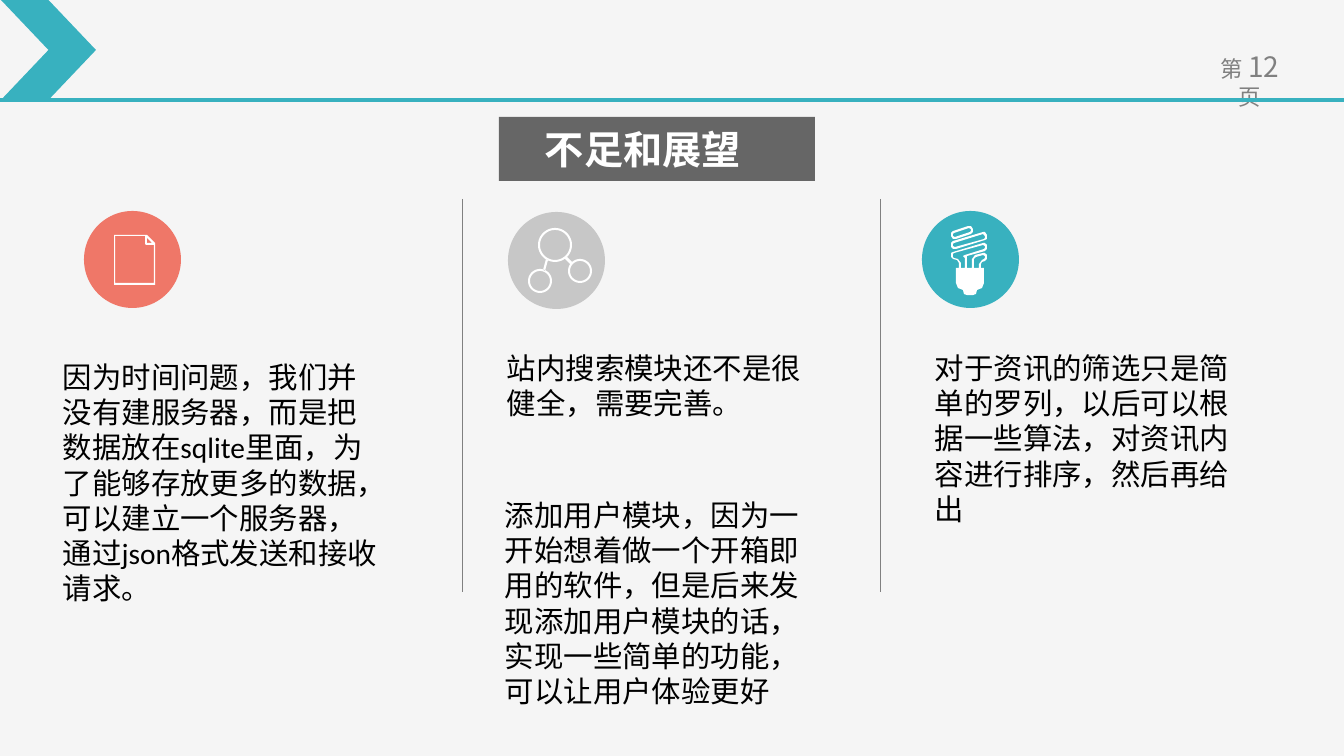
"""Build the slide on shortcomings and outlook."""
import math

from lxml import etree
from pptx import Presentation, util as u
from pptx.dml.color import RGBColor
from pptx.enum import shapes, text
from pptx.oxml import ns

PX = 914400 / 100.8
TEAL, GREY, WHITE = "38B1BF", "808080", "FFFFFF"
CJK = "Noto Sans CJK SC"
KIND = shapes.MSO_SHAPE

deck = Presentation()
deck.slide_width, deck.slide_height = round(1344 * PX), round(756 * PX)
slide = deck.slides.add_slide(deck.slide_layouts[6])
slide.background.fill.solid()
slide.background.fill.fore_color.rgb = RGBColor.from_string("F5F5F5")
tree = slide.shapes


def paint(item, fill):
    """Give a shape a plain fill with no line and no shadow."""
    item.shadow.inherit = False
    item.fill.solid()
    item.fill.fore_color.rgb = RGBColor.from_string(fill)
    item.line.fill.background()


def write(item, runs, color, **form):
    """Fill a frame with (words, size, font) runs."""
    frame = item.text_frame
    for key, value in {"word_wrap": True, **form}.items():
        setattr(frame, key, value)
    para = frame.paragraphs[0]
    para.alignment = text.PP_ALIGN.LEFT
    for words, size, face in runs:
        run = para.add_run()
        run.text = words
        look = {"size": u.Pt(size), "name": face}
        for key, value in look.items():
            setattr(run.font, key, value)
        run.font.color.rgb = RGBColor.from_string(color)
        east = etree.Element(ns.qn("a:ea"), typeface=CJK)
        run.font._element.find(ns.qn("a:latin")).addnext(east)
    return para


box = [round(n * PX) for n in (1191, 45, 118, 44)]
page = write(
    tree.add_textbox(*box),
    [("第", 16, CJK), (" ", 18, CJK), ("12", 20, CJK), (" ", 18, CJK), ("页", 16, CJK)],
    GREY, margin_left=round(20 * PX), margin_right=round(20 * PX))
page.alignment = text.PP_ALIGN.CENTER

LINES = [
    (0, 100, 1344, 100, TEAL, 2.25),
    (462, 199, 462, 592, GREY, 0.25),
    (880, 199, 880, 592, GREY, 0.25),
]
for *ends, color, width in LINES:
    rule = tree.add_connector(shapes.MSO_CONNECTOR.STRAIGHT, *[round(n * PX) for n in ends])
    rule.line.color.rgb = RGBColor.from_string(color)
    rule.line.width = u.Pt(width)
    etree.SubElement(rule._element.spPr, ns.qn("a:effectLst"))

SHAPES = [
    (KIND.CHEVRON, 1, 0, 95, 100, TEAL),
    (KIND.OVAL, 84, 211, 97, 97, "EF7768"),
    (KIND.OVAL, 508, 212, 97, 97, "C7C7C7"),
    (KIND.OVAL, 922, 211, 97, 97, TEAL),
]
for kind, *box, fill in SHAPES:
    paint(tree.add_shape(kind, *[round(n * PX) for n in box]), fill)

PAPER = [
    [(114, 235), (147, 235), (155, 243), (155, 285), (114, 285)],
    [(115, 236), (145, 236), (145, 244), (146, 245), (154, 245), (154, 283), (115, 283)],
    [(147, 238), (152, 243), (147, 243)],
]
NET = [
    [(546, 259), (548, 260), (545, 271), (543, 270)],
    [(565, 259), (567, 257), (572, 262), (570, 264)],
]
for left, top, size in [(555, 245, 17), (555, 245, 15), (540, 281, 12), (540, 281, 10),
                        (580, 271, 12), (580, 271, 10)]:
    turns = [math.tau * n / 48 for n in range(48)]
    NET.append([(left + size * math.cos(t), top + size * math.sin(t)) for t in turns])
BULB = [
    [(951, 243), (951, 247), (953, 249), (956, 249), (985, 240), (987, 239), (987, 235),
     (985, 232), (983, 232), (953, 241)],
    [(983, 234), (985, 236), (985, 238), (984, 239), (955, 247), (953, 246), (953, 244),
     (954, 243)],
    [(951, 236), (953, 239), (956, 239), (971, 234), (973, 232), (973, 229), (971, 226),
     (968, 226), (953, 231), (951, 233)],
    [(954, 233), (969, 228), (971, 229), (971, 231), (970, 232), (955, 237), (953, 236),
     (953, 234)],
    [(987, 257), (987, 255), (985, 253), (983, 253), (975, 255), (972, 259), (972, 268),
     (967, 268), (967, 256), (985, 251), (987, 249), (987, 245), (985, 243), (983, 243),
     (953, 252), (951, 253), (951, 257), (953, 259), (957, 260), (959, 263), (959, 268),
     (956, 268), (956, 283), (958, 288), (963, 290), (964, 294), (967, 295), (973, 295),
     (976, 294), (977, 290), (982, 288), (984, 283), (984, 268), (981, 268), (981, 264),
     (982, 262), (985, 261), (987, 259)],
    [(963, 256), (965, 258), (965, 268), (961, 268), (961, 263), (958, 259), (954, 258),
     (953, 257), (953, 254), (954, 253), (983, 245), (985, 246), (985, 248), (984, 249),
     (965, 255)],
    [(984, 259), (982, 260), (979, 264), (979, 268), (974, 268), (974, 259), (976, 257),
     (983, 255), (985, 256), (985, 258)],
]
for icon in (PAPER, NET, BULB):
    pen = tree.build_freeform(*[n * 100 for n in icon[0][0]], scale=PX / 100)
    for loop in icon:
        spots = [(x * 100, y * 100) for x, y in loop]
        if loop is not icon[0]:
            pen.move_to(*spots[0])
        pen.add_line_segments(spots[1:], close=True)
    paint(pen.convert_to_shape(), WHITE)

title = tree.add_shape(KIND.RECTANGLE, *[round(n * PX) for n in (499, 117, 316, 64)])
paint(title, "666666")
head = write(title, [("不足和展望", 28, CJK)], WHITE, margin_left=round(46 * PX),
             vertical_anchor=text.MSO_ANCHOR.MIDDLE)
head.runs[0].font.bold = True

NOTES = [
    (53, 354, 259, "因为时间问题，我们并没有建服务器，而是把数据放在sqlite里面，为了能够存放更多的数据，"
     "可以建立一个服务器，通过json格式发送和接收请求。"),
    (497, 345, 82, "站内搜索模块还不是很健全，需要完善。"),
    (925, 345, 188, "对于资讯的筛选只是简单的罗列，以后可以根据一些算法，对资讯内容进行排序，然后再给出"),
    (495, 492, 224, "添加用户模块，因为一开始想着做一个开箱即用的软件，但是后来发现添加用户模块的话，"
     "实现一些简单的功能，可以让用户体验更好"),
]
for left, top, high, words in NOTES:
    box = [round(n * PX) for n in (left, top, 342, high)]
    write(tree.add_textbox(*box), [(words, 21, "Calibri")], "000000")

deck.save("out.pptx")
